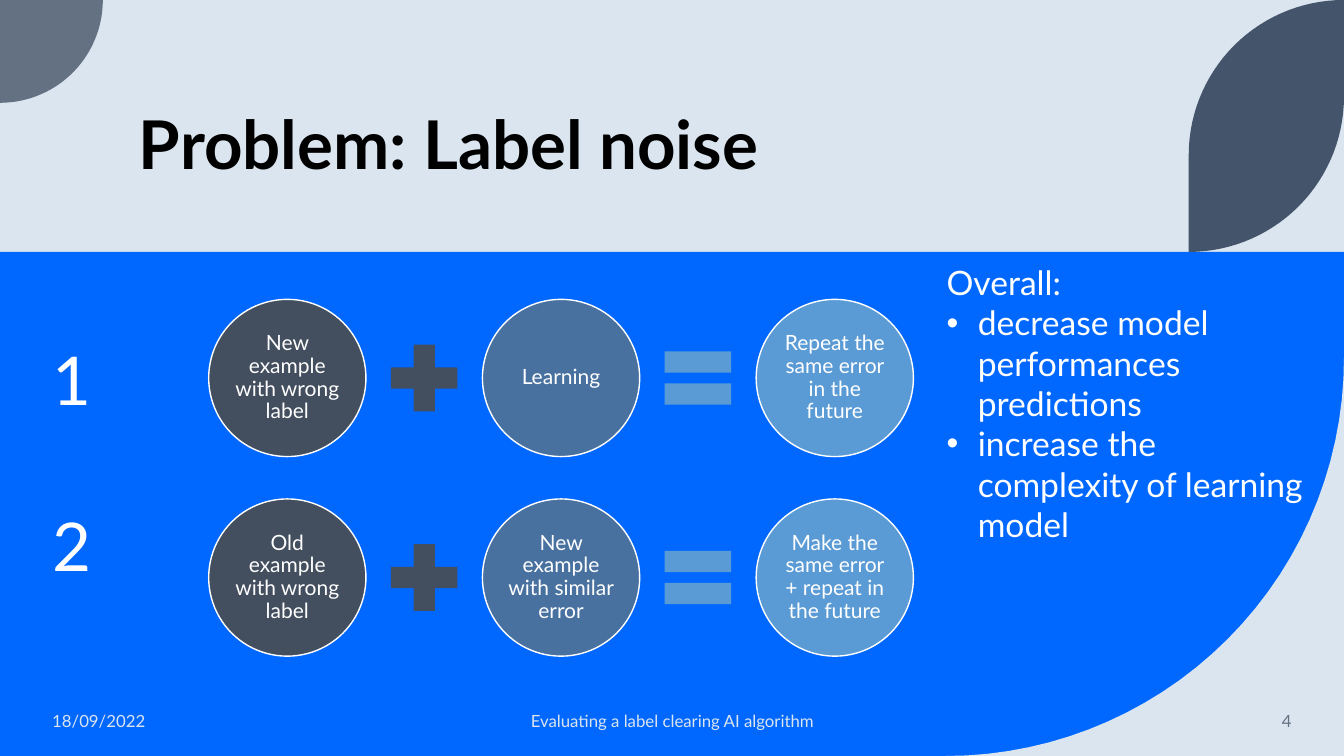
from math import cos, radians, sin

from lxml import etree
from pptx import Presentation
from pptx.dml.color import RGBColor
from pptx.enum.shapes import MSO_SHAPE
from pptx.enum.text import MSO_ANCHOR, PP_ALIGN
from pptx.oxml.ns import qn
from pptx.util import Inches, Pt

RECTANGLE, CIRCLE = MSO_SHAPE.RECTANGLE, MSO_SHAPE.OVAL
PLUS, EQUAL = MSO_SHAPE.MATH_PLUS, MSO_SHAPE.MATH_EQUAL
TOP, MIDDLE, BOTTOM = MSO_ANCHOR.TOP, MSO_ANCHOR.MIDDLE, MSO_ANCHOR.BOTTOM
LEFT, CENTER, RIGHT = PP_ALIGN.LEFT, PP_ALIGN.CENTER, PP_ALIGN.RIGHT

FONT = "Lato"
WIDTH, HEIGHT = 13.33, 7.5
BAND_TOP = HEIGHT / 3
PALE, BLUE, WHITE, BLACK = "DAE5EF", "0068FF", "FFFFFF", "000000"
GREY, NAVY = "637183", "44546A"
DARK, STEEL, SKY = "434E5E", "4871A0", "5B9BD5"

# Equation grid: circles sit on columns, operators halfway between them
FIRST_X, COLUMN = 2.85, 2.715
FIRST_Y, ROW = 3.75, 1.98
CIRCLE_SIZE, OPERATOR_SIZE = 1.56, 0.9
EQUATIONS = [
    ("New example with wrong label", "Learning",
     "Repeat the same error in the future"),
    ("Old example with wrong label", "New example with similar error",
     "Make the same error + repeat in the future"),
]


def color(hex_code):
    return RGBColor.from_string(hex_code)


def paint(shape, fill, outline=None):
    shape.shadow.inherit = False
    shape.fill.solid()
    shape.fill.fore_color.rgb = color(fill)
    if outline:
        shape.line.color.rgb = color(outline)
        shape.line.width = Pt(1)
    else:
        shape.line.fill.background()


def style(paragraph, size, hex_code, align=LEFT, spacing=None, bold=False):
    paragraph.alignment = align
    paragraph.line_spacing = spacing
    font = paragraph.font
    font.name, font.size, font.bold = FONT, Pt(size), bold
    font.color.rgb = color(hex_code)


def add_label(slide, text, box, size, hex_code, anchor=MIDDLE, **styling):
    frame = slide.shapes.add_textbox(*map(Inches, box)).text_frame
    frame.word_wrap = True
    frame.vertical_anchor = anchor
    frame.text = text
    for paragraph in frame.paragraphs:
        style(paragraph, size, hex_code, **styling)
    return frame


def add_centered(shapes, preset, x, y, size, fill, outline=None):
    shape = shapes.add_shape(preset, Inches(x - size / 2), Inches(y - size / 2),
                             Inches(size), Inches(size))
    paint(shape, fill, outline)
    return shape


def quarter_arc(x, y, radius, start):
    angles = [radians(start + 3 * step) for step in range(31)]
    return [(x + radius * cos(a), y + radius * sin(a)) for a in angles]


def add_outline(slide, points, fill):
    first, *others = [(Inches(x), Inches(y)) for x, y in points]
    builder = slide.shapes.build_freeform(*first)
    builder.add_line_segments(others, close=True)
    paint(builder.convert_to_shape(), fill)


def add_bullet(paragraph):
    properties = paragraph._p.get_or_add_pPr()
    indent = Inches(0.31)
    properties.set("marL", str(indent))
    properties.set("indent", str(-indent))
    etree.SubElement(properties, qn("a:buFont")).set("typeface", "Arial")
    etree.SubElement(properties, qn("a:buChar")).set("char", "•")


def add_background(slide):
    slide.background.fill.solid()
    slide.background.fill.fore_color.rgb = color(PALE)
    band = slide.shapes.add_shape(RECTANGLE, 0, Inches(BAND_TOP), Inches(WIDTH),
                                  Inches(HEIGHT - BAND_TOP))
    paint(band, BLUE)

    # Rounded lower right corner of the band
    radius = 3.95
    corner = quarter_arc(WIDTH - radius, HEIGHT - radius, radius, 0)
    add_outline(slide, corner + [(WIDTH, HEIGHT)], PALE)

    # Quarter disc and leaf in the upper corners
    add_outline(slide, [(0, 0)] + quarter_arc(0, 0, 1.02, 0), GREY)
    leaf = 1.54
    add_outline(slide, quarter_arc(WIDTH - leaf, BAND_TOP - leaf, leaf, 0)
                + quarter_arc(WIDTH, leaf, leaf, 180), NAVY)


def add_equation(slide, terms, y):
    shapes = slide.shapes.add_group_shape().shapes
    for column, (term, fill) in enumerate(zip(terms, (DARK, STEEL, SKY))):
        circle = add_centered(shapes, CIRCLE, FIRST_X + column * COLUMN, y,
                              CIRCLE_SIZE, fill, WHITE)
        frame = circle.text_frame
        frame.word_wrap = True
        frame.vertical_anchor = MIDDLE
        frame.margin_left = frame.margin_right = Inches(0.02)
        frame.margin_top = frame.margin_bottom = Inches(0.02)
        frame.text = term
        style(frame.paragraphs[0], 15, WHITE, CENTER, 0.9)
    for column, (operator, fill) in enumerate(((PLUS, DARK), (EQUAL, SKY))):
        add_centered(shapes, operator, FIRST_X + (column + 0.5) * COLUMN, y,
                     OPERATOR_SIZE, fill)


def add_footer(slide):
    top, height = 6.95, 0.4
    add_label(slide, "18/09/2022", (0.42, top, 3, height), 12, PALE)
    add_label(slide, "Evaluating a label clearing AI algorithm",
              (4.42, top, 4.5, height), 12, PALE, align=CENTER)
    add_label(slide, "4", (11.16, top, 1.75, height), 12, GREY, align=RIGHT)


def main():
    deck = Presentation()
    deck.slide_width, deck.slide_height = Inches(WIDTH), Inches(HEIGHT)
    slide = deck.slides.add_slide(deck.slide_layouts[6])
    add_background(slide)
    add_label(slide, "Problem: Label noise", (1.28, 0.42, 10.69, 1.45), 48,
              BLACK, BOTTOM, spacing=0.9, bold=True)

    # Numbered equations
    for row, terms in enumerate(EQUATIONS):
        add_label(slide, str(row + 1), (0.42, 3.3 + row * 1.65, 1.13, 0.91),
                  48, WHITE)
        add_equation(slide, terms, FIRST_Y + row * ROW)

    # Consequences
    overall = add_label(slide, "Overall:\ndecrease model performances predictions\n"
                        "increase the complexity of learning model",
                        (9.29, 2.55, 3.74, 2.93), 24, WHITE, TOP)
    for paragraph in overall.paragraphs[1:]:
        add_bullet(paragraph)

    add_footer(slide)
    deck.save("out.pptx")


if __name__ == "__main__":
    main()
